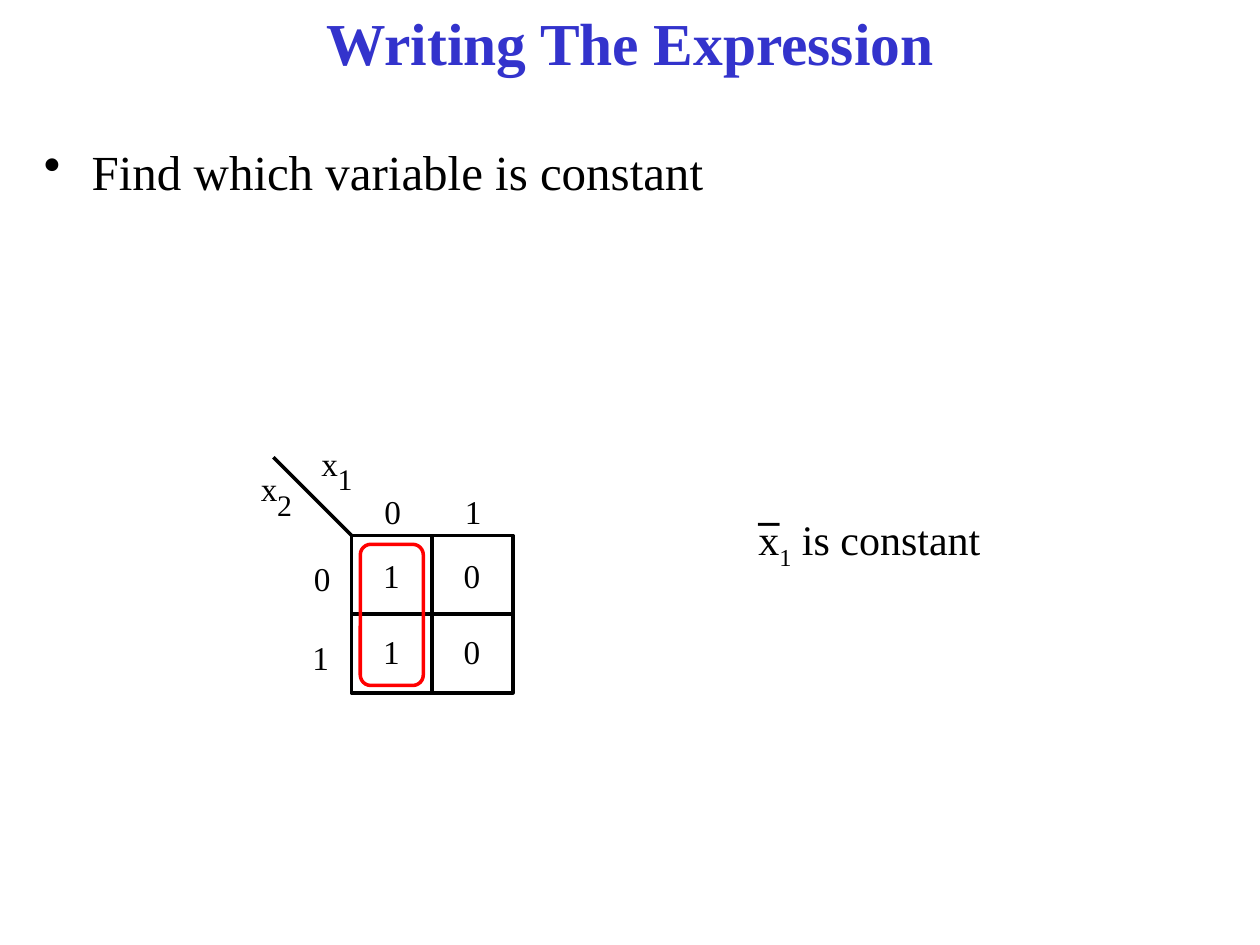
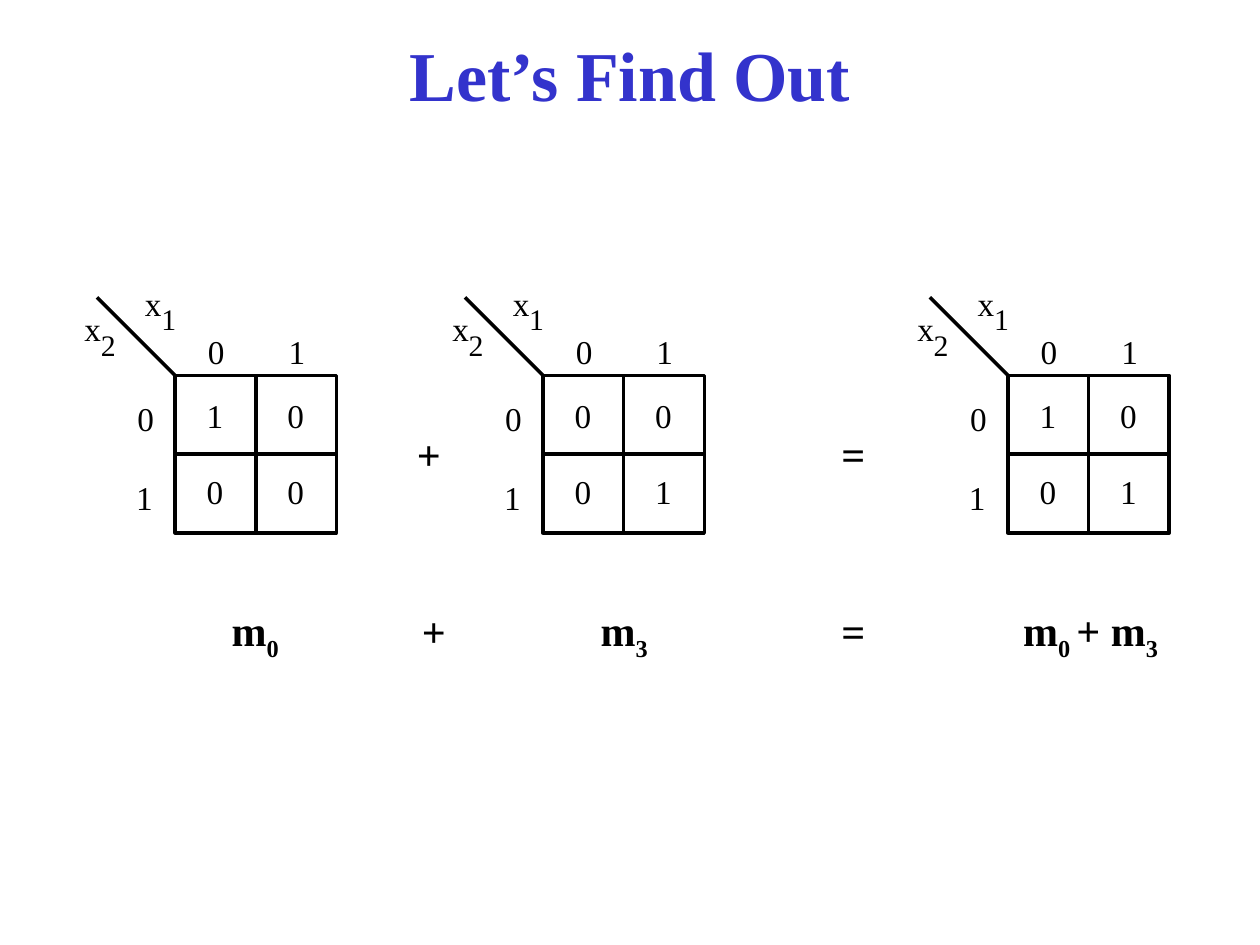
from dataclasses import dataclass

from lxml.etree import SubElement
from pptx import Presentation
from pptx.dml.color import RGBColor
from pptx.enum.shapes import MSO_CONNECTOR, MSO_SHAPE
from pptx.enum.text import MSO_ANCHOR, MSO_AUTO_SIZE, PP_ALIGN
from pptx.oxml.ns import qn
from pptx.util import Inches, Pt

COLORS = {"title": "3333CC", "ink": "000000", "paper": "FFFFFF", "group": "FF0000"}
FONT = "Times New Roman"
LINE_WIDTH = Pt(2)
TITLE_ONLY_LAYOUT = 5
MAP_WIDTH, MAP_HEIGHT = 1.28, 1.25
COLUMN_OFFSETS = (0.25, 0.89)
ROW_OFFSETS = (0.16, 0.76)
TOP, LEFT, BOTTOM, RIGHT = 0, 1, 2, 3


@dataclass(frozen=True)
class Run:
    text: str
    subscript: bool = False


@dataclass(frozen=True)
class KarnaughMap:
    left: float
    top: float
    rows: tuple[str, str]


@dataclass(frozen=True)
class Label:
    runs: tuple[Run, ...]
    left: float
    top: float
    width: float


M0 = (Run("m"), Run("0", True))
M3 = (Run("m"), Run("3", True))
SUM_MAPS = (
    KarnaughMap(1.39, 2.98, ("10", "00")),
    KarnaughMap(4.31, 2.98, ("00", "01")),
    KarnaughMap(8.0, 2.98, ("10", "01")),
)
SUM_LABELS = (
    Label(M0, 1.18, 4.75, 1.69),
    Label(M3, 4.11, 4.75, 1.69),
    Label((Run("m"), Run("0 ", True), Run("+ m"), Run("3", True)), 7.81, 4.75, 1.69),
    Label((Run("+"),), 3.21, 3.35, 0.29),
    Label((Run("+"),), 3.25, 4.76, 0.29),
    Label((Run("="),), 6.58, 3.35, 0.29),
    Label((Run("="),), 6.58, 4.76, 0.29),
)


def color(name: str) -> RGBColor:
    return RGBColor.from_string(COLORS[name])


def write_runs(paragraph, runs, *, size, bold=False, color_name="ink",
               align=PP_ALIGN.LEFT) -> None:
    paragraph.alignment = align
    for part in runs:
        run = paragraph.add_run()
        run.text = part.text
        font = run.font
        font.name, font.size, font.bold = FONT, Pt(size), bold
        font.color.rgb = color(color_name)
        if part.subscript:
            font._element.set("baseline", "-25000")


def add_text(slide, runs, left, top, width, height, *, inset=True, wrap=True, **text_format):
    box = slide.shapes.add_textbox(Inches(left), Inches(top), Inches(width), Inches(height))
    frame = box.text_frame
    frame.word_wrap = wrap
    frame.auto_size = MSO_AUTO_SIZE.SHAPE_TO_FIT_TEXT
    if not inset:
        frame.margin_left = frame.margin_top = frame.margin_right = frame.margin_bottom = 0
    write_runs(frame.paragraphs[0], runs, **text_format)
    return box


def add_bullet(paragraph) -> None:
    properties = paragraph._p.get_or_add_pPr()
    indent = Inches(0.38)
    properties.set("marL", str(indent))
    properties.set("indent", str(-indent))
    SubElement(properties, qn("a:buChar")).set("char", "•")


def add_titled_slide(presentation, title_text: str, top: float, height: float, size: int):
    slide = presentation.slides.add_slide(presentation.slide_layouts[TITLE_ONLY_LAYOUT])
    title = slide.shapes.title
    title.left, title.top = Inches(0.25), Inches(top)
    title.width, title.height = Inches(9.5), Inches(height)
    frame = title.text_frame
    frame.auto_size = MSO_AUTO_SIZE.NONE
    frame.vertical_anchor = MSO_ANCHOR.MIDDLE
    write_runs(frame.paragraphs[0], (Run(title_text),), size=size, bold=True,
               color_name="title", align=PP_ALIGN.CENTER)
    return slide


def add_box(slide, preset, left, top, width, height, *, line, fill=None):
    shape = slide.shapes.add_shape(
        preset, Inches(left), Inches(top), Inches(width), Inches(height))
    shape.shadow.inherit = False
    if fill:
        shape.fill.solid()
        shape.fill.fore_color.rgb = color(fill)
    else:
        shape.fill.background()
    shape.line.color.rgb = color(line)
    shape.line.width = LINE_WIDTH
    return shape


def add_line(slide, start=(0, 0), end=(0, 0)):
    line = slide.shapes.add_connector(
        MSO_CONNECTOR.STRAIGHT, *(Inches(value) for value in (*start, *end)))
    line.line.color.rgb = color("ink")
    line.line.width = LINE_WIDTH
    SubElement(line._element.spPr, qn("a:effectLst"))
    return line


def add_divider(slide, frame, start_side: int, end_side: int) -> None:
    """Join two side midpoints of the map frame."""
    divider = add_line(slide)
    divider.begin_connect(frame, start_side)
    divider.end_connect(frame, end_side)


def add_map_text(slide, text: str, left: float, top: float, size: int = 19) -> None:
    add_text(slide, (Run(text),), left, top, 0.18, 0.32 if size == 19 else 0.28,
             size=size, inset=False, wrap=False)


def add_variable(slide, index: str, left: float, top: float) -> None:
    add_map_text(slide, "x", left, top)
    add_map_text(slide, index, left + 0.13, top + 0.14, size=17)


def add_karnaugh_map(slide, karnaugh_map: KarnaughMap) -> None:
    left, top = karnaugh_map.left, karnaugh_map.top
    frame = add_box(slide, MSO_SHAPE.RECTANGLE, left, top, MAP_WIDTH, MAP_HEIGHT,
                    line="ink", fill="paper")
    add_divider(slide, frame, RIGHT, LEFT)
    add_divider(slide, frame, BOTTOM, TOP)
    add_line(slide, (left - 0.62, top - 0.62), (left, top))
    add_variable(slide, "2", left - 0.72, top - 0.53)
    add_variable(slide, "1", left - 0.24, top - 0.73)

    for header, x_offset in zip("01", COLUMN_OFFSETS):
        add_map_text(slide, header, left + x_offset + 0.01, top - 0.35)
    for header, x_offset, y_offset in (("0", -0.3, 0.18), ("1", -0.31, 0.81)):
        add_map_text(slide, header, left + x_offset, top + y_offset)
    for values, y_offset in zip(karnaugh_map.rows, ROW_OFFSETS):
        for value, x_offset in zip(values, COLUMN_OFFSETS):
            add_map_text(slide, value, left + x_offset, top + y_offset)


def add_expression_slide(presentation) -> None:
    slide = add_titled_slide(presentation, "Writing The Expression", 0.08, 0.5, 34)
    instruction = add_text(slide, (Run("Find which variable is constant"),),
                           0.25, 1.07, 9.5, 0.55, size=28)
    add_bullet(instruction.text_frame.paragraphs[0])
    add_karnaugh_map(slide, KarnaughMap(2.79, 4.25, ("10", "10")))
    add_box(slide, MSO_SHAPE.ROUNDED_RECTANGLE, 2.86, 4.32, 0.5, 1.12, line="group")
    add_text(slide, (Run("x"), Run("1", True), Run(" is constant")),
             5.92, 4.03, 2.33, 0.51, size=24)
    add_text(slide, (Run("_"),), 5.92, 3.75, 0.37, 0.51, size=24, bold=True, wrap=False)


def add_sum_slide(presentation) -> None:
    slide = add_titled_slide(presentation, "Let’s Find Out", 0.25, 0.67, 40)
    for karnaugh_map in SUM_MAPS:
        add_karnaugh_map(slide, karnaugh_map)
    for label in SUM_LABELS:
        align = PP_ALIGN.CENTER if len(label.runs) > 1 else PP_ALIGN.LEFT
        add_text(slide, label.runs, label.left, label.top, label.width, 0.51,
                 size=24, bold=True, align=align)


def main() -> None:
    presentation = Presentation()
    presentation.slide_width, presentation.slide_height = Inches(10), Inches(7.5)
    add_expression_slide(presentation)
    add_sum_slide(presentation)
    presentation.save("out.pptx")


if __name__ == "__main__":
    main()
